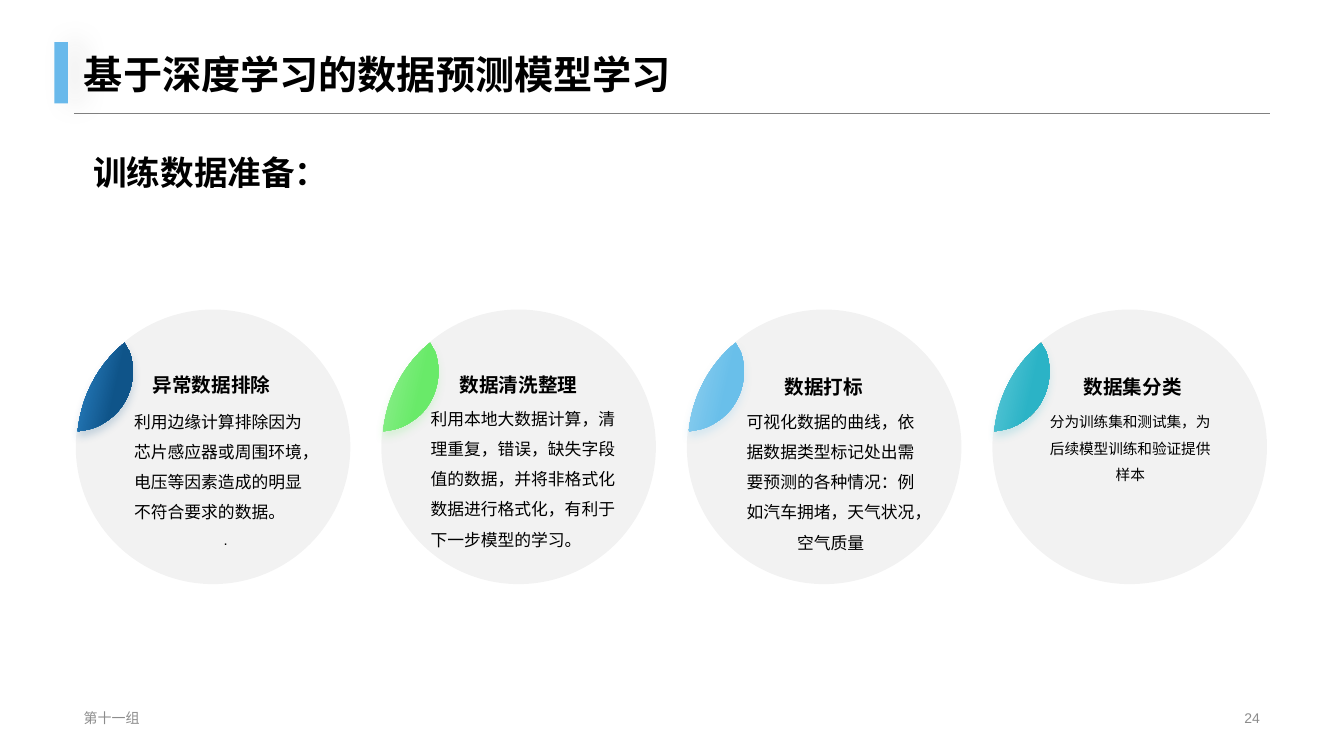
from lxml import etree
from pptx import Presentation
from pptx.dml.color import RGBColor
from pptx.enum.shapes import MSO_CONNECTOR, MSO_SHAPE
from pptx.enum.text import MSO_ANCHOR, MSO_AUTO_SIZE, PP_ALIGN
from pptx.oxml.ns import qn
from pptx.util import Cm, Pt

BLACK = RGBColor(0x00, 0x00, 0x00)
GRAY = RGBColor(0x8C, 0x8C, 0x8C)
RULE_GRAY = RGBColor(0x80, 0x80, 0x80)
SKY = RGBColor(0x69, 0xB9, 0xEB)
SHADE = RGBColor(0x26, 0x26, 0x26)
DISC = RGBColor(0x0D, 0x0D, 0x0D)
NAVY = (RGBColor(0x3D, 0x9F, 0xEA), RGBColor(0x0F, 0x54, 0x89))
GREEN = (RGBColor(0xA5, 0xF2, 0xA5), RGBColor(0x69, 0xEA, 0x69))
BLUE = (RGBColor(0xA5, 0xD9, 0xF2), RGBColor(0x69, 0xBF, 0xEA))
TEAL = (RGBColor(0x7A, 0xD5, 0xE2), RGBColor(0x2B, 0xB3, 0xC6))
LEFT, CENTER, RIGHT = PP_ALIGN.LEFT, PP_ALIGN.CENTER, PP_ALIGN.RIGHT

prs = Presentation()
prs.slide_width, prs.slide_height = Cm(33.87), Cm(19.05)
slide = prs.slides.add_slide(prs.slide_layouts[5])
shapes = slide.shapes


def add_text(box, paragraphs, bold=False, color=BLACK, spacing=None,
             anchor=MSO_ANCHOR.TOP):
    """Add a wrapped text box; box is in cm, paragraphs are (text, size, align)."""
    frame = shapes.add_textbox(*[Cm(v) for v in box]).text_frame
    frame.word_wrap = True
    frame.vertical_anchor = anchor
    if anchor == MSO_ANCHOR.TOP:
        frame.auto_size = MSO_AUTO_SIZE.SHAPE_TO_FIT_TEXT
    for i, (text, size, align) in enumerate(paragraphs):
        paragraph = frame.add_paragraph() if i else frame.paragraphs[0]
        paragraph.text = text
        paragraph.alignment = align
        paragraph.line_spacing = spacing
        font = paragraph.font
        font.name, font.size, font.bold = "Arial", Pt(size), bold
        font.color.rgb = color


def add_shadow(shape, color, alpha, blur, distance, angle):
    """Give a shape an outer shadow; blur and distance in points."""
    shape.shadow.inherit = False
    effects = shape._element.spPr.find(qn("a:effectLst"))
    shadow = etree.SubElement(
        effects, qn("a:outerShdw"), blurRad=str(Pt(blur)),
        dist=str(Pt(distance)), dir=str(angle * 60000), rotWithShape="0")
    tint = etree.SubElement(shadow, qn("a:srgbClr"), val=str(color))
    etree.SubElement(tint, qn("a:alpha"), val=str(alpha * 1000))


# Header: rule, accent bar, title
rule = shapes.add_connector(MSO_CONNECTOR.STRAIGHT, Cm(1.86), Cm(2.86), Cm(32), Cm(2.86))
rule.line.color.rgb = RULE_GRAY
rule.line.width = Pt(0.25)
etree.SubElement(rule._element.spPr, qn("a:effectLst"))

accent = shapes.add_shape(MSO_SHAPE.RECTANGLE, Cm(1.37), Cm(1.06), Cm(0.34), Cm(1.55))
accent.fill.solid()
accent.fill.fore_color.rgb = SKY
accent.line.fill.background()
add_shadow(accent, SHADE, 10, 20, 10, 0)

title = shapes.title
title.left, title.top, title.width, title.height = Cm(1.86), Cm(-0.25), Cm(30.14), Cm(2.84)
title.text_frame.text = "基于深度学习的数据预测模型学习"
title.text_frame.vertical_anchor = MSO_ANCHOR.BOTTOM
title.text_frame.auto_size = MSO_AUTO_SIZE.NONE
heading = title.text_frame.paragraphs[0]
heading.alignment = LEFT
heading.line_spacing = 0.9
heading.font.name, heading.font.size, heading.font.bold = "Arial", Pt(28), True
heading.font.color.rgb = BLACK

# Subtitle and footer
add_text((2.1, 3.7, 6.73, 1.27), [("训练数据准备：", 24, LEFT)], bold=True)
add_text((1.86, 17.8, 11.5, 0.6), [("第十一组", 10, LEFT)], color=GRAY, anchor=MSO_ANCHOR.MIDDLE)
add_text((23.92, 17.8, 8.08, 0.6), [("24", 10, RIGHT)], color=GRAY, anchor=MSO_ANCHOR.MIDDLE)

# Leaf outline before rotation, in cm from its centre
LEAF_START = (1.09, -0.73)
LEAF_POINTS = [
    (1.08, -0.47),
    (0.93, 0.18), (0.33, 0.71), (-0.38, 0.7),
    (-0.58, 0.71), (-0.79, 0.66), (-0.95, 0.59),
    (-1.09, 0.53), (-1.07, 0.49),
    (-0.59, -0.11), (0.1, -0.55), (0.89, -0.7),
]
LEAF_CURVES = (1, 4, 9)  # first of the three points of each cubic curve
LEAF_ROTATION = 327.7
LEAF_X, LEAF_Y = 0.69, 2.04  # leaf centre from the disc's top left

# Steps: leaf colours, heading, heading place, body box, body paragraphs
PREPARATION_STEPS = [
    (NAVY, "异常数据排除", (3.07, 8.97), (3.13, 9.99, 5.11, 3.94),
     [("利用边缘计算排除因为芯片感应器或周围环境，电压等因素造成的明显不符合要求的数据。", 12, LEFT),
      (".", 10.5, CENTER)]),
    (GREEN, "数据清洗整理", (10.81, 8.97), (10.6, 9.91, 5.21, 4.01),
     [("利用本地大数据计算，清理重复，错误，缺失字段值的数据，并将非格式化数据进行格式化，有利于下一步模型的学习。",
       12, LEFT)]),
    (BLUE, "数据打标", (18.5, 9.02), (18.51, 9.99, 4.85, 4.01),
     [("可视化数据的曲线，依据数据类型标记处出需要预测的各种情况：例如汽车拥堵，天气状况，空气质量", 12, CENTER)]),
    (TEAL, "数据集分类", (26.29, 9.02), (26.06, 10.06, 4.85, 2.18),
     [("分为训练集和测试集，为后续模型训练和验证提供样本", 10.5, CENTER)]),
]
DISC_LEFT, DISC_TOP, DISC_SIZE, DISC_PITCH = 1.91, 7.8, 6.92, 7.7

for i, (colors, name, name_at, body_box, body) in enumerate(PREPARATION_STEPS):
    left = DISC_LEFT + i * DISC_PITCH

    # Pale disc
    disc = shapes.add_shape(MSO_SHAPE.OVAL, Cm(left), Cm(DISC_TOP), Cm(DISC_SIZE), Cm(DISC_SIZE))
    disc.shadow.inherit = False
    disc.line.fill.background()
    disc.fill.solid()
    disc.fill.fore_color.rgb = DISC
    disc_color = disc._element.spPr.find(qn("a:solidFill"))[0]
    etree.SubElement(disc_color, qn("a:alpha"), val="5000")

    # Leaf on the disc's edge
    start, *points = [(Cm(left + LEAF_X + x), Cm(DISC_TOP + LEAF_Y + y))
                      for x, y in [LEAF_START, *LEAF_POINTS]]
    builder = shapes.build_freeform(*start)
    builder.add_line_segments(points)
    leaf = builder.convert_to_shape()
    segments = list(leaf._element.iter(qn("a:lnTo")))
    for first in LEAF_CURVES:
        curve = segments[first]
        curve.tag = qn("a:cubicBezTo")
        for segment in segments[first + 1:first + 3]:
            curve.append(segment[0])
            segment.getparent().remove(segment)
    leaf.rotation = LEAF_ROTATION
    leaf.line.fill.background()
    leaf.fill.gradient()
    leaf.fill.gradient_angle = 315
    for stop, color, position in zip(leaf.fill.gradient_stops, colors, (0, 0.6)):
        stop.color.rgb = color
        stop.position = position
    add_shadow(leaf, colors[1], 20, 6, 4, 90)

    # Words
    add_text((*name_at, 4.52, 1.04), [(name, 14, CENTER)], bold=True, spacing=1.5)
    add_text(body_box, body, spacing=1.5)

prs.save("out.pptx")
